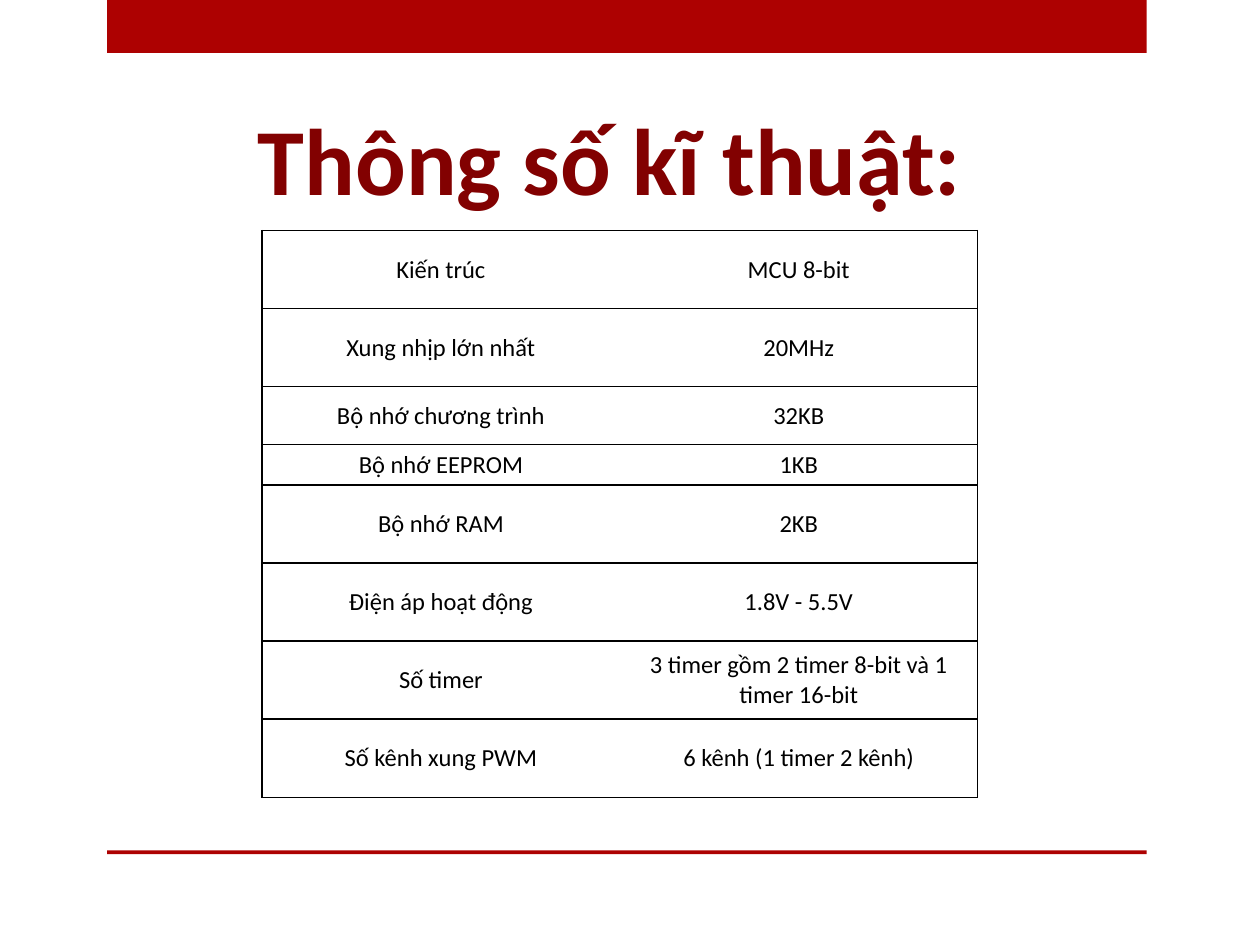
import dataclasses
import lxml.etree
import pptx
import pptx.util
import pptx.dml.color
import pptx.enum.shapes
import pptx.enum.text
import pptx.oxml.ns

INCH = pptx.util.Inches
ALIGN = pptx.enum.text.PP_ALIGN
ANCHOR = pptx.enum.text.MSO_ANCHOR


@dataclasses.dataclass(frozen=True)
class Theme:
    font: str = "Calibri"
    bar: str = "AD0101"
    head: str = "820101"
    ink: str = "000000"
    big: int = 54
    body: int = 14
    rule: int = 1


THEME = Theme()
WIDE, HIGH = 10, 7.5
COLS = [2.84, 2.84]
TALL = 0.62
SIDE = 0.02
ROWS = [
    ("Kiến trúc", "MCU 8-bit", TALL),
    ("Xung nhịp lớn nhất", "20MHz", TALL),
    ("Bộ nhớ chương trình", "32KB", 0.46),
    ("Bộ nhớ EEPROM", "1KB", 0.32),
    ("Bộ nhớ RAM", "2KB", TALL),
    ("Điện áp hoạt động", "1.8V - 5.5V", TALL),
    ("Số timer", "3 timer gồm 2 timer 8-bit và 1 timer 16-bit", TALL),
    ("Số kênh xung PWM", "6 kênh (1 timer 2 kênh)", TALL),
]


def rgb(tone):
    return pptx.dml.color.RGBColor.from_string(tone)


def style(para, size, tone, bold=False):
    para.alignment = ALIGN.CENTER
    font = para.font
    font.name, font.size, font.bold = THEME.font, pptx.util.Pt(size), bold
    font.color.rgb = rgb(tone)


def add_bar(slide, top, high):
    kind = pptx.enum.shapes.MSO_SHAPE.RECTANGLE
    bar = slide.shapes.add_shape(
        kind, INCH(0.085 * WIDE), INCH(top), INCH(0.825 * WIDE), INCH(high))
    bar.shadow.inherit = False
    bar.fill.solid()
    bar.fill.fore_color.rgb = rgb(THEME.bar)
    bar.line.fill.background()


def set_title(slide, text):
    title = slide.shapes.title
    title.left, title.top = INCH(1.92), INCH(0.1 * HIGH)
    title.width, title.height = INCH(5.84), INCH(1.01)
    frame = title.text_frame
    frame.text = text
    frame.word_wrap = False
    frame.auto_size = pptx.enum.text.MSO_AUTO_SIZE.SHAPE_TO_FIT_TEXT
    frame.vertical_anchor = ANCHOR.MIDDLE
    style(frame.paragraphs[0], THEME.big, THEME.head, True)


def set_edge(cell, side, shown):
    name = pptx.oxml.ns.qn
    props = cell._tc.get_or_add_tcPr()
    line = lxml.etree.SubElement(props, name("a:ln" + side))
    if shown:
        line.set("w", str(pptx.util.Pt(THEME.rule)))
        fill = lxml.etree.SubElement(line, name("a:solidFill"))
        lxml.etree.SubElement(fill, name("a:srgbClr"), val=THEME.ink)
    else:
        line.set("w", "0")
        lxml.etree.SubElement(line, name("a:noFill"))


def set_cell(cell, text, first, last):
    for side, shown in (("L", first), ("R", last), ("T", True), ("B", True)):
        set_edge(cell, side, shown)
    cell.fill.background()
    cell.margin_left = cell.margin_right = INCH(SIDE)
    cell.margin_top = cell.margin_bottom = 0
    cell.vertical_anchor = ANCHOR.MIDDLE
    cell.text = text
    style(cell.text_frame.paragraphs[0], THEME.body, THEME.ink)


def add_grid(slide, left, top):
    high = sum(row[-1] for row in ROWS)
    grid = slide.shapes.add_table(
        len(ROWS), len(COLS), INCH(left), INCH(top),
        INCH(sum(COLS)), INCH(high)).table
    grid.first_row = grid.horz_banding = False
    for col, wide in zip(grid.columns, COLS):
        col.width = INCH(wide)
    for r, (*texts, tall) in enumerate(ROWS):
        grid.rows[r].height = INCH(tall)
        for c, text in enumerate(texts):
            set_cell(grid.cell(r, c), text, c == 0, c == len(COLS) - 1)


def main():
    deck = pptx.Presentation()
    deck.slide_width, deck.slide_height = INCH(WIDE), INCH(HIGH)
    slide = deck.slides.add_slide(deck.slide_layouts[5])
    add_bar(slide, 0, 0.42)
    add_bar(slide, 0.9 * HIGH, 0.03)
    set_title(slide, "Thông số kĩ thuật:")
    add_grid(slide, 2.08, 1.83)
    deck.save("out.pptx")


if __name__ == "__main__":
    main()
